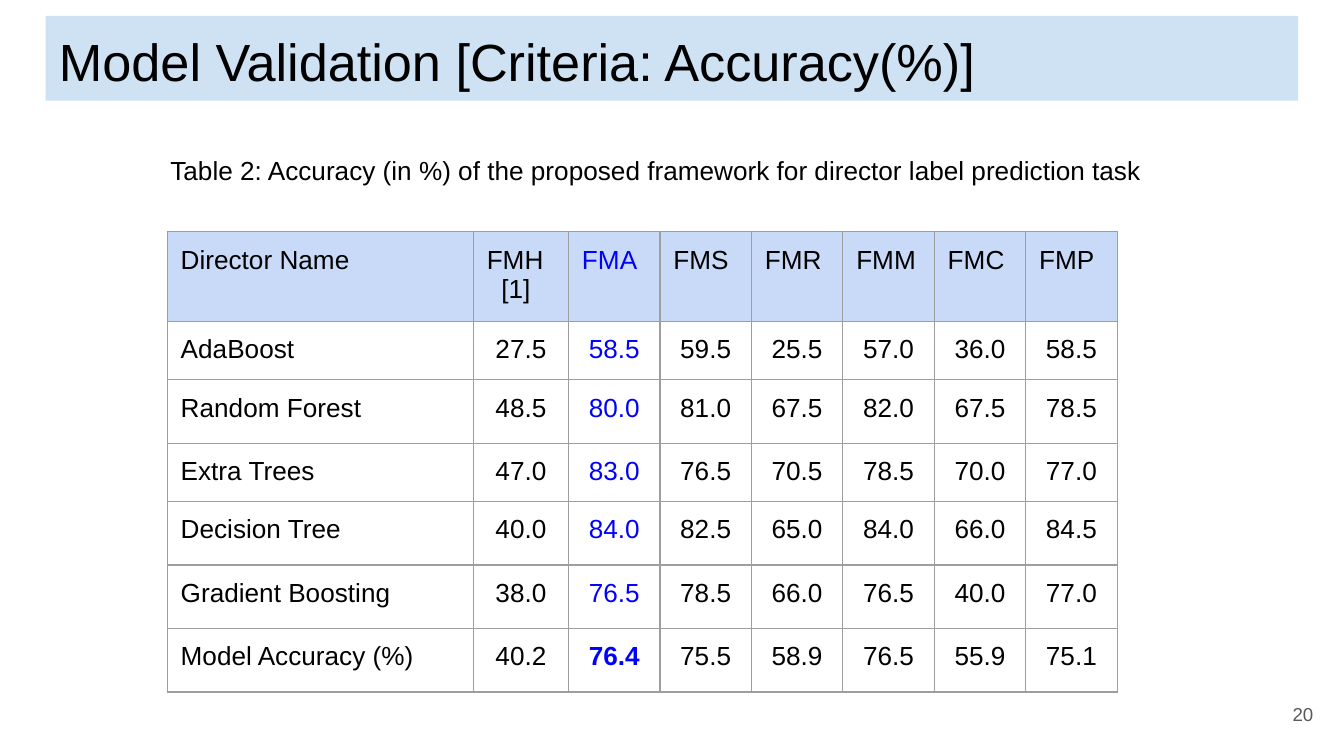
from pptx import Presentation
from pptx.util import Pt
from pptx.dml.color import RGBColor
from pptx.enum.shapes import MSO_SHAPE
from pptx.enum.text import MSO_ANCHOR, PP_ALIGN
from lxml import etree

RECT = MSO_SHAPE.RECTANGLE
TOP, MIDDLE = MSO_ANCHOR.TOP, MSO_ANCHOR.MIDDLE
LEFT, CENTER, RIGHT = PP_ALIGN.LEFT, PP_ALIGN.CENTER, PP_ALIGN.RIGHT
BLACK = RGBColor(0x00, 0x00, 0x00)
BLUE = RGBColor(0x00, 0x00, 0xFF)
GRAY = RGBColor(0x59, 0x59, 0x59)
EDGE = RGBColor(0x9E, 0x9E, 0x9E)
BAND = RGBColor(0xCF, 0xE2, 0xF3)
HEAD = RGBColor(0xC9, 0xDA, 0xF8)
NS = "http://schemas.openxmlformats.org/drawingml/2006/main"
PAD = Pt(7.2)


def write(par, text, size, color, align=LEFT, bold=False):
    par.alignment = align
    run = par.add_run()
    run.text = text
    run.font.name = "Arial"
    run.font.size = Pt(size)
    run.font.bold = bold
    run.font.color.rgb = color


def inset(box, anchor):
    box.margin_left = box.margin_right = PAD
    box.margin_top = box.margin_bottom = PAD
    box.vertical_anchor = anchor
    box.word_wrap = True


prs = Presentation()
prs.slide_width, prs.slide_height = Pt(720), Pt(405)
slide = prs.slides.add_slide(prs.slide_layouts[6])

title = slide.shapes.add_shape(RECT, Pt(24.5), Pt(8.6), Pt(671), Pt(45.4))
title.shadow.inherit = False
title.fill.solid()
title.fill.fore_color.rgb = BAND
title.line.fill.background()
inset(title.text_frame, TOP)
write(title.text_frame.paragraphs[0],
      "Model Validation [Criteria: Accuracy(%)]", 28, BLACK)

number = slide.shapes.add_textbox(Pt(667.4), Pt(367.2), Pt(43.2), Pt(31))
inset(number.text_frame, MIDDLE)
write(number.text_frame.paragraphs[0], "20", 10, GRAY, RIGHT)

rows = [
    ["Director Name", "FMH", "FMA", "FMS", "FMR", "FMM", "FMC", "FMP"],
    ["AdaBoost", "27.5", "58.5", "59.5", "25.5", "57.0", "36.0", "58.5"],
    ["Random Forest", "48.5", "80.0", "81.0", "67.5", "82.0", "67.5", "78.5"],
    ["Extra Trees", "47.0", "83.0", "76.5", "70.5", "78.5", "70.0", "77.0"],
    ["Decision Tree", "40.0", "84.0", "82.5", "65.0", "84.0", "66.0", "84.5"],
    ["Gradient Boosting", "38.0", "76.5", "78.5", "66.0", "76.5", "40.0", "77.0"],
    ["Model Accuracy (%)", "40.2", "76.4", "75.5", "58.9", "76.5", "55.9", "75.1"],
]
widths = [164, 51] + [49] * 6
heights = [45.4, 30.4, 34, 30.4, 34, 34, 34]
frame = slide.shapes.add_table(len(rows), len(widths), Pt(89.6), Pt(124.2),
                               Pt(sum(widths)), Pt(sum(heights)))
table = frame.table
for col, width in zip(table.columns, widths):
    col.width = Pt(width)
for row, height in zip(table.rows, heights):
    row.height = Pt(height)

for r, row in enumerate(rows):
    for c, text in enumerate(row):
        cell = table.cell(r, c)
        cell.margin_left = cell.margin_right = PAD
        cell.margin_top = cell.margin_bottom = PAD
        props = cell._tc.get_or_add_tcPr()
        for side in ("lnL", "lnR", "lnT", "lnB"):
            line = etree.SubElement(props, f"{{{NS}}}{side}", w=str(Pt(0.75)))
            fill = etree.SubElement(line, f"{{{NS}}}solidFill")
            etree.SubElement(fill, f"{{{NS}}}srgbClr", val=str(EDGE))
        if r == 0:
            cell.fill.solid()
            cell.fill.fore_color.rgb = HEAD
        else:
            cell.fill.background()
        write(cell.text_frame.paragraphs[0], text, 14,
              BLUE if c == 2 else BLACK,
              CENTER if r and c else LEFT,
              r == len(rows) - 1 and c == 2)

cite = table.cell(0, 1).text_frame.add_paragraph()
cite._p.get_or_add_pPr().set("marL", str(Pt(7.8)))
write(cite, "[1]", 14, BLACK)

label = slide.shapes.add_textbox(Pt(84.2), Pt(75.6), Pt(552.2), Pt(26.6))
inset(label.text_frame, TOP)
write(label.text_frame.paragraphs[0],
      "Table 2: Accuracy (in %) of the proposed framework for director label prediction task",
      14, BLACK)

prs.save("out.pptx")
